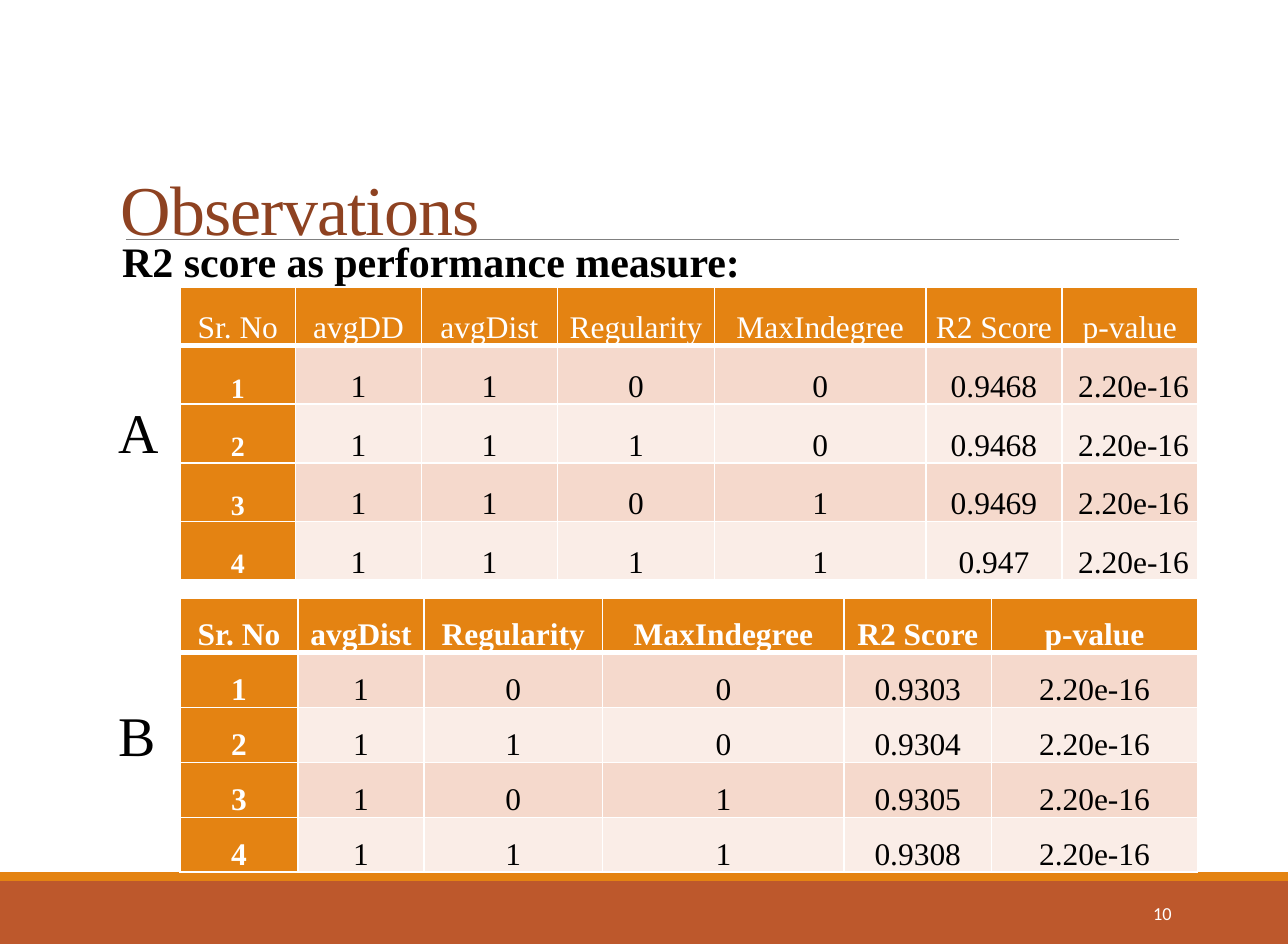
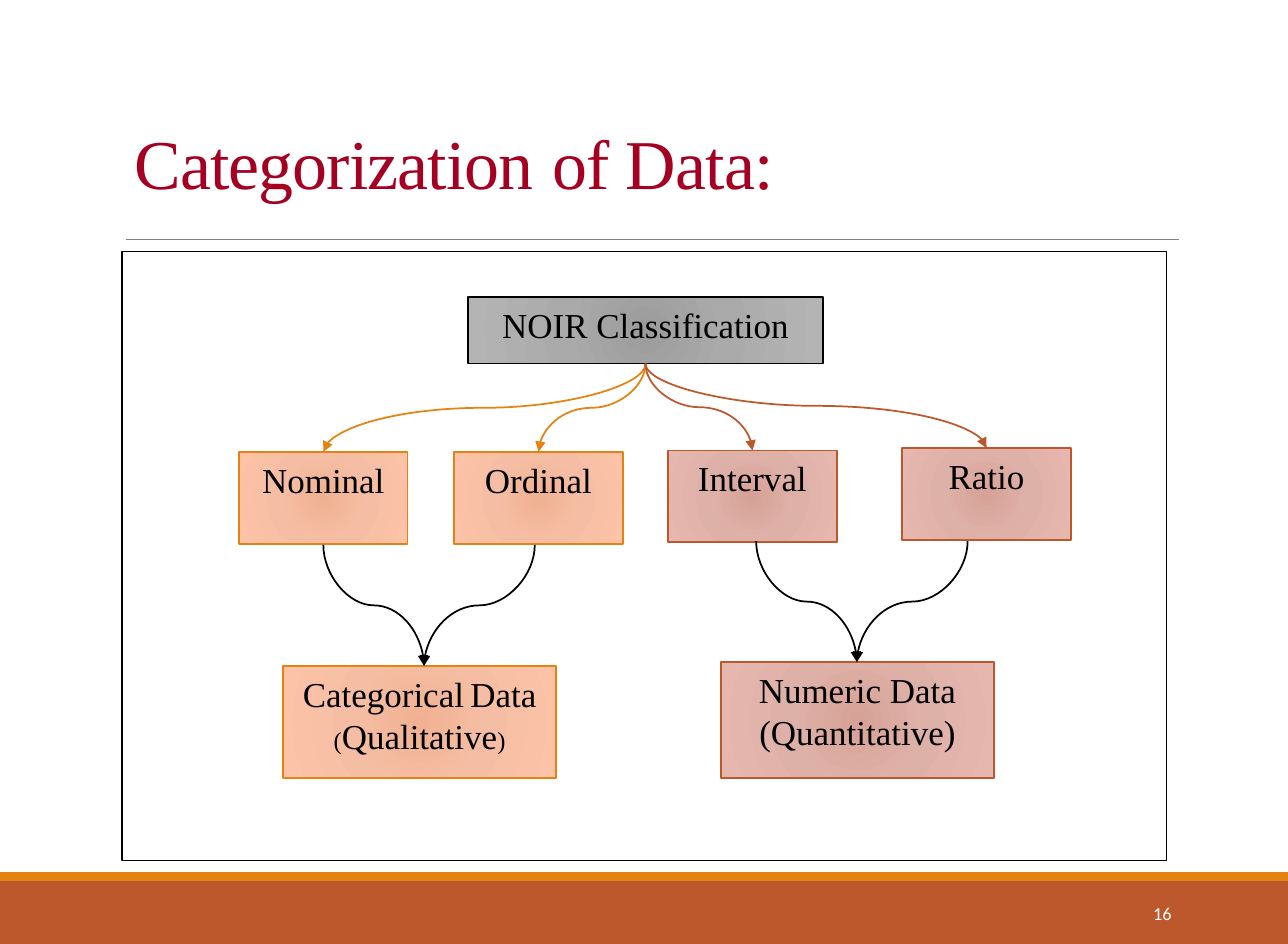
import dataclasses

import lxml.etree
import pptx
import pptx.dml.color
import pptx.enum.shapes
import pptx.enum.text
import pptx.oxml.ns
import pptx.util

Inches = pptx.util.Inches
Pt = pptx.util.Pt
qn = pptx.oxml.ns.qn
Align = pptx.enum.text.PP_ALIGN
Anchor = pptx.enum.text.MSO_ANCHOR


@dataclasses.dataclass(frozen=True)
class Theme:
    serif: str = "Times New Roman"
    sans: str = "Calibri"
    white: str = "FFFFFF"
    black: str = "000000"
    orange: str = "E48312"
    rust: str = "BD582C"
    rule: str = "808080"
    brown: str = "8E4221"
    crimson: str = "A50021"
    bands: tuple = ("F5D9CC", "FAEDE7")
    gray_glow: tuple = ("9C9C9C", "AAAAAA", "B4B4B4")
    orange_glow: tuple = ("F0B191", "F5BEA4", "FDC3A8")
    rust_glow: tuple = ("D7A197", "DEB1A8", "E6B7AE")
    title: float = 40
    title_gap: float = 48
    letter: float = 32
    heading: float = 24
    node: float = 20
    table: float = 18
    index: float = 16
    small: float = 14
    number: float = 10.5


@dataclasses.dataclass(frozen=True)
class Box:
    left: float
    top: float
    width: float
    height: float

    def inside(self, left, top, width, height):
        return Box(self.left + left, self.top + top, width, height)

    @property
    def center(self):
        return self.left + self.width / 2

    @property
    def bottom(self):
        return self.top + self.height

    @property
    def lengths(self):
        return [Inches(value) for value in (self.left, self.top, self.width, self.height)]


@dataclasses.dataclass(frozen=True)
class Span:
    text: str
    size: float
    color: str = Theme.black
    font: str = Theme.serif
    bold: bool = False
    spacing: float = 0


THEME = Theme()


def rgb(color):
    return pptx.dml.color.RGBColor.from_string(color)


def write(frame, lines, align=Align.LEFT):
    frame.word_wrap = True
    for position, spans in enumerate(lines):
        para = frame.paragraphs[0] if position == 0 else frame.add_paragraph()
        para.alignment = align
        for span in spans:
            run = para.add_run()
            run.text = span.text
            run.font.size = Pt(span.size)
            run.font.name = span.font
            run.font.bold = span.bold
            run.font.color.rgb = rgb(span.color)
            if span.spacing:
                run.font._element.set("spc", str(round(span.spacing * 100)))
    return frame.paragraphs[0]


def add_text(page, box, spans, align=Align.LEFT, anchor=Anchor.TOP, tight=False):
    frame = page.shapes.add_textbox(*box.lengths).text_frame
    frame.vertical_anchor = anchor
    if tight:
        frame.margin_left = frame.margin_right = frame.margin_bottom = 0
        frame.margin_top = Inches(0.01)
    return write(frame, [spans], align)


def indent(para, length):
    para._p.get_or_add_pPr().set("marL", str(Inches(length)))


def add_rect(page, box, fill, line=None, weight=1):
    shape = page.shapes.add_shape(pptx.enum.shapes.MSO_SHAPE.RECTANGLE, *box.lengths)
    shape.shadow.inherit = False
    shape.fill.solid()
    shape.fill.fore_color.rgb = rgb(fill)
    if line:
        shape.line.color.rgb = rgb(line)
        shape.line.width = Pt(weight)
    else:
        shape.line.fill.background()
    return shape


def add_line(page, kind, start, end, color, weight):
    line = page.shapes.add_connector(kind, *[Inches(value) for value in (*start, *end)])
    line.line.color.rgb = rgb(color)
    line.line.width = Pt(weight)
    lxml.etree.SubElement(line._element.spPr, qn("a:effectLst"))
    return line


def add_curve(page, start, end, color):
    across, down = abs(end[0] - start[0]), end[1] - start[1]
    left = (start[0] + end[0] - down) / 2
    top = (start[1] + end[1] - across) / 2
    curve = add_line(page, pptx.enum.shapes.MSO_CONNECTOR.CURVE,
                     (left, top), (left + down, top + across), color, 1)
    transform = curve._element.spPr.find(qn("a:xfrm"))
    if end[0] > start[0]:
        transform.set("rot", "16200000")
        transform.set("flipH", "1")
    else:
        transform.set("rot", "5400000")
    outline = curve.line._get_or_add_ln()
    lxml.etree.SubElement(outline, qn("a:tailEnd"), type="triangle")


def glow(shape, colors):
    gradient = lxml.etree.Element(qn("a:gradFill"), rotWithShape="1")
    stops = lxml.etree.SubElement(gradient, qn("a:gsLst"))
    for position, color in zip((0, 45, 100), colors):
        stop = lxml.etree.SubElement(stops, qn("a:gs"), pos=str(position * 1000))
        lxml.etree.SubElement(stop, qn("a:srgbClr"), val=color)
    circle = lxml.etree.SubElement(gradient, qn("a:path"), path="circle")
    lxml.etree.SubElement(circle, qn("a:fillToRect"), dict.fromkeys("ltrb", "100000"))
    solid = shape._element.spPr.find(qn("a:solidFill"))
    solid.getparent().replace(solid, gradient)


def add_node(page, box, lines, colors, line):
    shape = add_rect(page, box, colors[0], line)
    glow(shape, colors)
    shape.text_frame.vertical_anchor = Anchor.TOP
    write(shape.text_frame, lines, Align.CENTER)
    return box


def set_borders(cell, bottom):
    properties = cell._tc.get_or_add_tcPr()
    for position, (side, weight) in enumerate(
            (("lnL", 1), ("lnR", 1), ("lnT", 1), ("lnB", bottom))):
        border = lxml.etree.Element(qn("a:" + side), w=str(Pt(weight)))
        fill = lxml.etree.SubElement(border, qn("a:solidFill"))
        lxml.etree.SubElement(fill, qn("a:srgbClr"), val=THEME.white)
        properties.insert(position, border)


def add_scores(page, box, widths, rows, header_bold, index_size, last_align):
    table = page.shapes.add_table(len(rows), len(widths), *box.lengths).table
    table.horz_banding = False
    for column, width in zip(table.columns, widths):
        column.width = Inches(width)
    for row_number, values in enumerate(rows):
        table.rows[row_number].height = Inches(box.height / len(rows))
        header = row_number == 0
        for column_number, value in enumerate(values):
            index = column_number == 0
            strong = header or index
            last = column_number == len(widths) - 1
            cell = table.cell(row_number, column_number)
            cell.fill.solid()
            cell.fill.fore_color.rgb = rgb(
                THEME.orange if strong else THEME.bands[(row_number - 1) % 2])
            cell.margin_left = cell.margin_right = Inches(0.07)
            cell.margin_top = cell.margin_bottom = 0
            cell.vertical_anchor = Anchor.BOTTOM
            set_borders(cell, 3 if header else 1)
            span = Span(value, index_size if index and not header else THEME.table,
                        THEME.white if strong else THEME.black,
                        bold=header_bold if header else index)
            write(cell.text_frame, [[span]],
                  last_align if last and not header else Align.CENTER)


def add_panel(page, box, letter, letter_top, *table):
    add_text(page, box.inside(0, letter_top, 0.58, 0.64), [Span(letter, THEME.letter)])
    add_scores(page, box.inside(0.59, 0, box.width - 0.59, box.height), *table)


def add_base(deck, number):
    page = deck.slides.add_slide(deck.slide_layouts[6])
    width = deck.slide_width.inches
    add_rect(page, Box(0, 7, width, 0.5), THEME.rust)
    add_rect(page, Box(0, 6.93, width, 0.07), THEME.orange)
    add_line(page, pptx.enum.shapes.MSO_CONNECTOR.STRAIGHT, (1, 1.9), (9.37, 1.9),
             THEME.rule, 0.5)
    para = add_text(page, Box(8.31, 7.06, 1.1, 0.4),
                    [Span(number, THEME.number, THEME.white, THEME.sans)],
                    Align.RIGHT, Anchor.MIDDLE)
    para.line_spacing = Pt(12.4)
    indent(para, 0.05)
    return page


def title_span(text, color):
    return Span(text, THEME.title, color, spacing=-0.5)


def add_observations(deck):
    page = add_base(deck, "10")
    title = add_text(page, Box(0.95, 1.29, 3.72, 0.69),
                     [title_span("Observations", THEME.brown)], anchor=Anchor.BOTTOM, tight=True)
    heading = add_text(page, Box(0.93, 1.86, 8.82, 0.42),
                       [Span("R2 score as performance measure:", THEME.heading, bold=True)],
                       tight=True)
    for para, margin in ((title, 0.01), (heading, 0.04)):
        para.space_before = Pt(1)
        indent(para, margin)
    chance = "2.20e-16"
    full_rows = [
        ("Sr. No", "avgDD", "avgDist", "Regularity", "MaxIndegree", "R2 Score", "p-value"),
        ("1", "1", "1", "0", "0", "0.9468", chance),
        ("2", "1", "1", "1", "0", "0.9468", chance),
        ("3", "1", "1", "0", "1", "0.9469", chance),
        ("4", "1", "1", "1", "1", "0.947", chance),
    ]
    reduced_rows = [
        ("Sr. No", "avgDist", "Regularity", "MaxIndegree", "R2 Score", "p-value"),
        ("1", "1", "0", "0", "0.9303", chance),
        ("2", "1", "1", "0", "0.9304", chance),
        ("3", "1", "0", "1", "0.9305", chance),
        ("4", "1", "1", "1", "0.9308", chance),
    ]
    add_panel(page, Box(0.84, 2.28, 8.67, 2.33), "A", 0.83,
              (0.92, 1, 1.08, 1.25, 1.68, 1.08, 1.08), full_rows,
              False, THEME.index, Align.RIGHT)
    add_panel(page, Box(0.84, 4.75, 8.67, 2.18), "B", 0.77,
              (0.94, 1, 1.42, 1.92, 1.17, 1.64), reduced_rows,
              True, THEME.table, Align.CENTER)


def add_diagram(page, box):
    add_rect(page, box, THEME.white, THEME.black, 0.75)
    root = add_node(page, box.inside(2.75, 0.36, 2.82, 0.53),
                    [[Span("NOIR Classification", THEME.node)]], THEME.gray_glow, THEME.black)
    categorical = [
        [Span("Categorical", THEME.node), Span(" ", THEME.small), Span("Data", THEME.node)],
        [Span("(", THEME.small), Span("Qualitative", THEME.node), Span(")", THEME.small)],
    ]
    numeric = [[Span("Numeric Data", THEME.node)], [Span("(Quantitative)", THEME.node)]]
    families = [
        (THEME.orange_glow, THEME.orange, (("Nominal", 0.93, 1.59), ("Ordinal", 2.64, 1.59)),
         categorical, (1.28, 3.29, 2.17, 0.89), 2.4),
        (THEME.rust_glow, THEME.rust, (("Interval", 4.34, 1.58), ("Ratio", 6.2, 1.56)),
         numeric, (4.76, 3.26, 2.17, 0.92), 5.84),
    ]
    for colors, line, kinds, lines, place, meeting in families:
        for name, left, top in kinds:
            kind = add_node(page, box.inside(left, top, 1.34, 0.73),
                            [[Span(name, THEME.node)]], colors, line)
            add_curve(page, (root.center, root.bottom), (kind.center, kind.top), line)
        result = add_node(page, box.inside(*place), lines, colors, line)
        target = box.left + meeting
        for offset in (-0.8, 0.88):
            add_curve(page, (target + offset, result.top - 0.96), (target, result.top),
                      THEME.black)


def add_categorization(deck):
    page = add_base(deck, "16")
    title = add_text(page, Box(0.97, 0.82, 7.95, 0.87), [
        title_span("Categorization", THEME.crimson),
        Span(" ", THEME.title_gap, font=THEME.sans, spacing=-0.5),
        title_span("of Data:", THEME.crimson),
    ], anchor=Anchor.BOTTOM)
    title.line_spacing = 0.85
    add_diagram(page, Box(0.97, 2, 8.3, 4.84))


deck = pptx.Presentation()
deck.slide_width = Pt(737)
deck.slide_height = Pt(540)
add_observations(deck)
add_categorization(deck)
deck.save("out.pptx")
